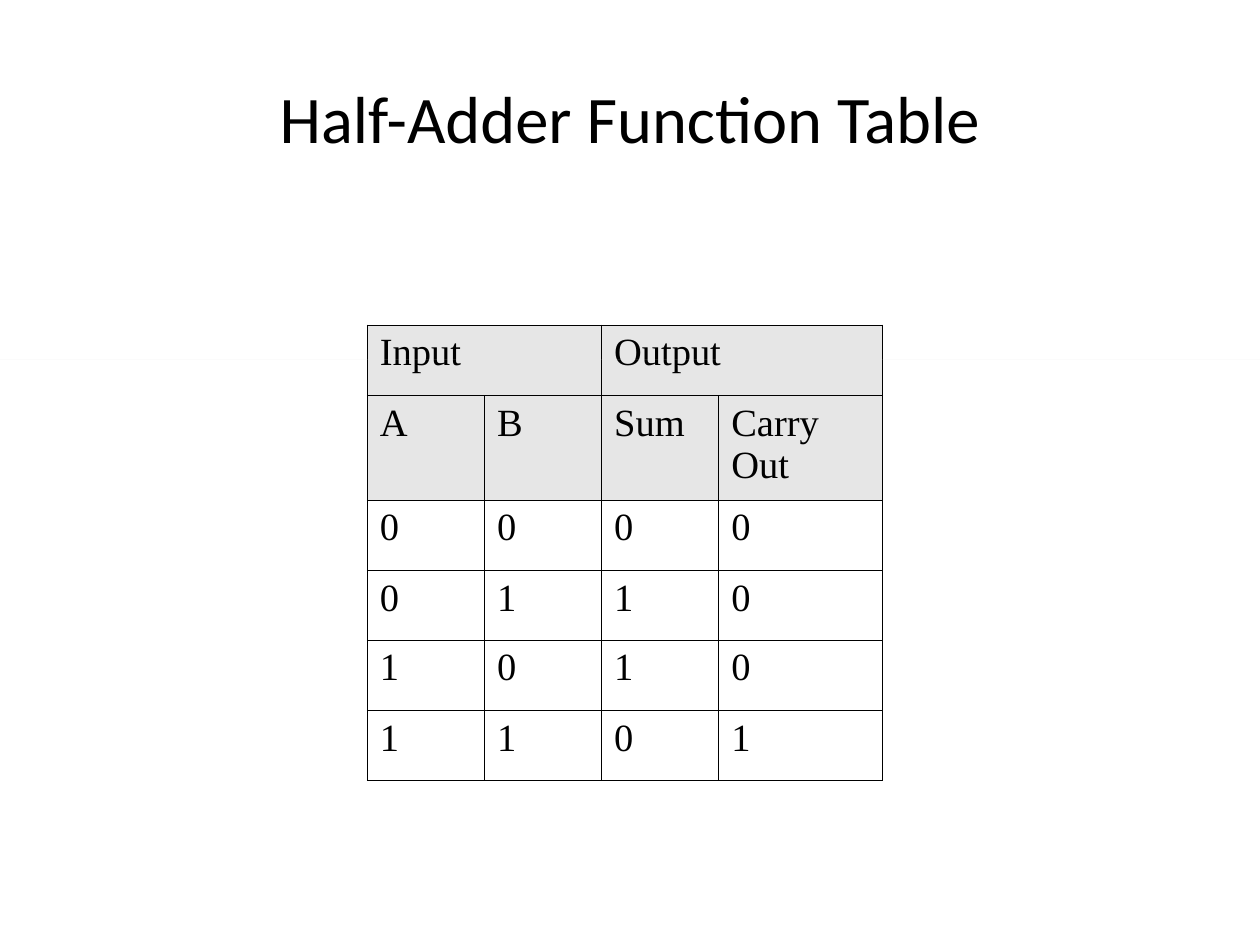
from itertools import product

from lxml.etree import SubElement as Sub
from pptx import Presentation
from pptx.dml.color import RGBColor as RGB
from pptx.enum.shapes import MSO_SHAPE as Shape
from pptx.enum.text import MSO_ANCHOR as Anchor, MSO_AUTO_SIZE as AutoSize, PP_ALIGN as Align
from pptx.oxml.ns import qn
from pptx.util import Inches, Pt

COLORS = {"text": "000000", "border": "000000", "header": "E6E6E6",
          "body": "FFFFFF", "rule": "E6E6E6"}
TITLE_FONT = {"name": "Calibri", "size": Pt(38), "bold": False}
CELL_FONT = {"name": "Times New Roman", "size": Pt(22), "bold": False}
HEADER = [["Input", "", "Output", ""], ["A", "B", "Sum", "Carry Out"]]
COLS = [0.93, 0.93, 0.93, 1.3]
ROWS = [0.56, 0.83, 0.56, 0.55, 0.56, 0.55]


def format_paragraph(p, font, align):
    p.alignment = align
    for key, value in font.items():
        setattr(p.font, key, value)
    p.font.color.rgb = RGB.from_string(COLORS["text"])


def set_title(prs, s, text):
    sp = s.shapes.title
    box = {"left": 0.05 * prs.slide_width, "top": 0.04 * prs.slide_height,
           "width": 0.9 * prs.slide_width, "height": prs.slide_height / 6}
    for key, value in box.items():
        setattr(sp, key, int(value))
    tf = sp.text_frame
    tf.text = text
    tf.auto_size = AutoSize.NONE
    tf.vertical_anchor = Anchor.MIDDLE
    format_paragraph(tf.paragraphs[0], TITLE_FONT, Align.CENTER)


def add_borders(cell):
    tc_pr = cell._tc.get_or_add_tcPr()
    for side in ("lnL", "lnR", "lnT", "lnB"):
        ln = Sub(tc_pr, qn(f"a:{side}"), w=str(Pt(0.45)))
        fill = Sub(ln, qn("a:solidFill"))
        Sub(fill, qn("a:srgbClr"), val=COLORS["border"])


def format_cell(cell, text, fill):
    add_borders(cell)
    cell.fill.solid()
    cell.fill.fore_color.rgb = RGB.from_string(COLORS[fill])
    cell.text = text
    format_paragraph(cell.text_frame.paragraphs[0], CELL_FONT, Align.JUSTIFY)


def add_function_table(s, left, top):
    rows = HEADER + [[str(v) for v in (a, b, a ^ b, a & b)]
                     for a, b in product((0, 1), repeat=2)]
    table = s.shapes.add_table(len(ROWS), len(COLS), Inches(left), Inches(top),
                               Inches(sum(COLS)), Inches(sum(ROWS))).table
    table.horz_banding = False
    table.first_row = False
    for col, width in zip(table.columns, COLS):
        col.width = Inches(width)
    for row, height in zip(table.rows, ROWS):
        row.height = Inches(height)
    for i, values in enumerate(rows):
        fill = "header" if i < len(HEADER) else "body"
        for j, value in enumerate(values):
            format_cell(table.cell(i, j), value, fill)
    for j in (0, 2):
        table.cell(0, j).merge(table.cell(0, j + 1))


def add_rule(prs, s):
    sp = s.shapes.add_shape(Shape.RECTANGLE, 0, int(0.38 * prs.slide_height),
                            prs.slide_width, 0)
    sp.shadow.inherit = False
    sp.fill.solid()
    sp.fill.fore_color.rgb = RGB.from_string(COLORS["rule"])
    sp.line.fill.background()


def main():
    prs = Presentation()
    prs.slide_width, prs.slide_height = Inches(10), Inches(7.5)
    s = prs.slides.add_slide(prs.slide_layouts[5])
    set_title(prs, s, "Half-Adder Function Table")
    add_function_table(s, 2.915, 2.58)
    add_rule(prs, s)
    prs.save("out.pptx")


if __name__ == "__main__":
    main()
